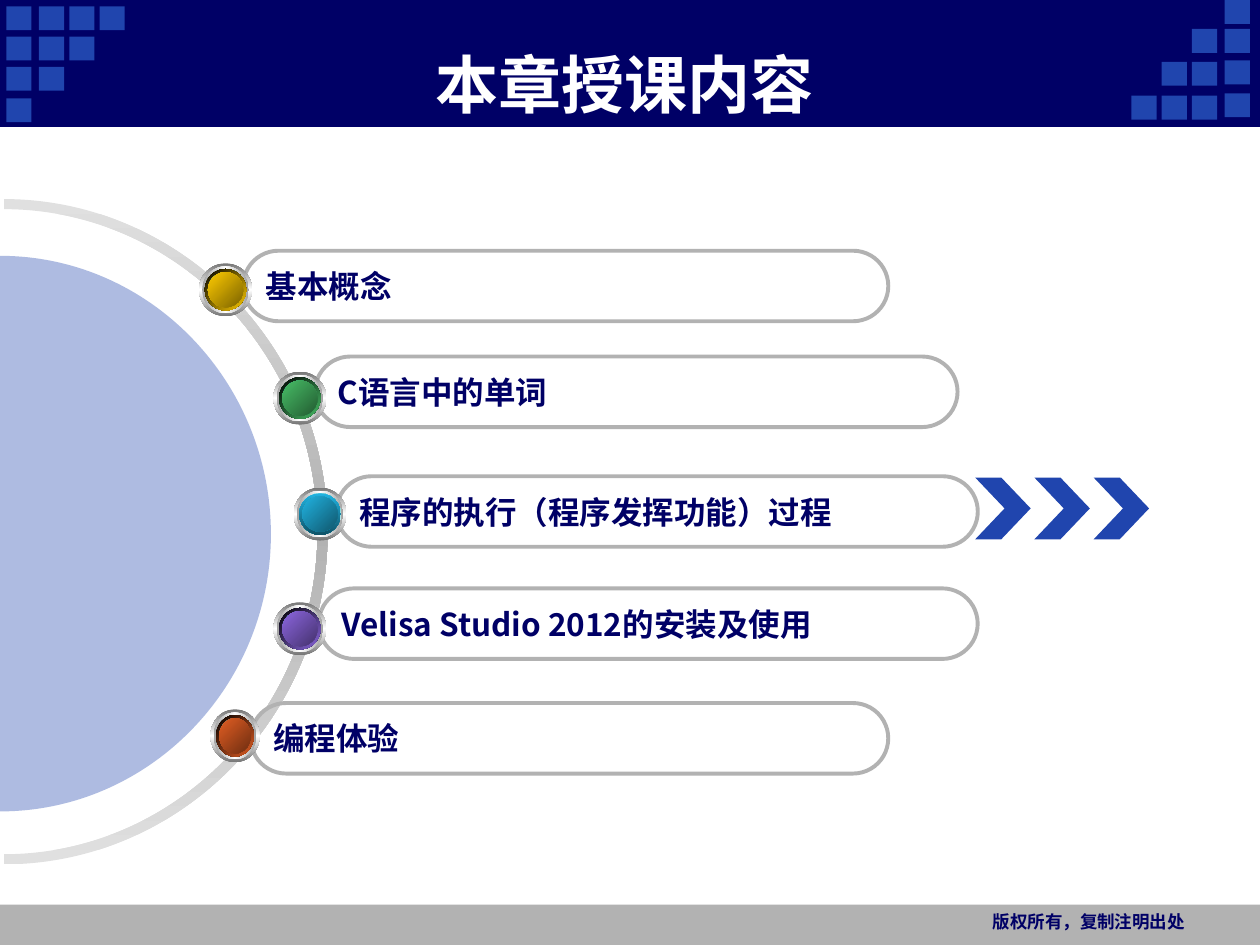
import pptx
import pptx.util
import pptx.dml.color
import pptx.enum.shapes
import pptx.enum.text
import pptx.oxml
import pptx.oxml.ns

HUES = {"navy": "000066", "blue": "2045AE", "gray": "B2B2B2", "pale": "E0E0E0",
        "white": "FFFFFF", "teal": "3DC5C5", "deep": "2F9797",
        "steel": "767676", "mist": "A2A2A2"}
LATIN, CJK = "Arial", "Noto Sans CJK SC"

# Content; all places are in inches
TITLE = "本章授课内容"
NOTE = "版权所有，复制注明出处"
# text, font, pill (left, top, width), button (left, top, width), rim, face
ITEMS = [
    ("编程体验", LATIN, (1.99, 5.58, 5.06), (1.67, 5.63, 0.39),
     ("000000", "E35E23", 45), ("E35E23", "6E2E11")),
    ("Velisa Studio 2012的安装及使用", CJK, (2.53, 4.67, 5.23), (2.17, 4.78, 0.42),
     ("000000", "8D67E1", 45), ("8D67E1", "45326D")),
    ("程序的执行（程序发挥功能）过程", CJK, (2.67, 3.78, 5.09), (2.33, 3.87, 0.42),
     ("21B3E1", "0F5368", 90), ("21B3E1", "10576D")),
    ("C语言中的单词", CJK, (2.5, 2.83, 5.1), (2.17, 2.95, 0.42),
     ("000000", "48BE67", 45), ("48BE67", "235C32")),
    ("基本概念", CJK, (1.93, 1.99, 5.12), (1.58, 2.09, 0.42),
     ("000000", "FFCC00", 45), ("FFCC00", "7C6300")),
]
# Corner squares: column left, then the top of each square
ROWS = (0.05, 0.29, 0.53, 0.78)
CORNERS = [
    [(0.05, ROWS), (0.31, ROWS[:3]), (0.55, ROWS[:2]), (0.79, ROWS[:1])],
    [(9.72, (0.74, 0.48, 0.23, 0)), (9.46, (0.76, 0.49, 0.23)),
     (9.22, (0.76, 0.49)), (8.98, (0.76,))],
]
# Half circles: box before its quarter turn, then the corner points
RING = ((-2.65, 1.61, 5.28, 5.22),
        [(0.03, 1.66), (2.52, 4.22), (0.03, 6.78), (0.03, 6.86), (2.6, 4.22), (0.03, 1.58)])
DISC = ((-2.21, 2.09, 4.41, 4.3), [(0, 2.03), (2.15, 4.24), (0, 6.44)])

KIND = pptx.enum.shapes.MSO_SHAPE
ALIGN = pptx.enum.text.PP_ALIGN
ANCHOR = pptx.enum.text.MSO_ANCHOR
NS = pptx.oxml.ns.nsdecls("a")
name = pptx.oxml.ns.qn

deck = pptx.Presentation()
deck.slide_width = pptx.util.Cm(25.4)
deck.slide_height = pptx.util.Cm(19.05)
slide = deck.slides.add_slide(deck.slide_layouts[6])


def inch(num):
    return pptx.util.Cm(num * 2.54)


def rgb(code):
    return pptx.dml.color.RGBColor.from_string(code)


def plain(part, fill=None, line=None, width=0.75):
    part.shadow.inherit = False
    if fill:
        part.fill.solid()
        part.fill.fore_color.rgb = rgb(fill)
    else:
        part.fill.background()
    if line:
        part.line.color.rgb = rgb(line)
        part.line.width = pptx.util.Pt(width)
    else:
        part.line.fill.background()
    return part


def shape(home, kind, box, *look):
    return plain(home.shapes.add_shape(kind, *map(inch, box)), *look)


def blend(part, codes, angle):
    """Spread the colours evenly along a line; angle is clockwise."""
    stops = "".join(
        f'<a:gs pos="{100000 * i // (len(codes) - 1)}"><a:srgbClr val="{code}"/></a:gs>'
        for i, code in enumerate(codes))
    grad = pptx.oxml.parse_xml(
        f'<a:gradFill {NS} rotWithShape="1"><a:gsLst>{stops}</a:gsLst>'
        f'<a:lin ang="{angle * 60000}" scaled="0"/></a:gradFill>')
    props = part._element.spPr
    props.replace(props.find(name("a:noFill")), grad)


def write(part, text, size, color, font, align, anchor):
    frame = part.text_frame
    frame.word_wrap = True
    frame.vertical_anchor = anchor
    para = frame.paragraphs[0]
    para.alignment = align
    run = para.add_run()
    run.text = text
    run.font.size = pptx.util.Pt(size)
    run.font.bold = True
    run.font.name = font
    run.font.color.rgb = rgb(color)
    run.font._element.find(name("a:latin")).addnext(
        pptx.oxml.parse_xml(f'<a:ea {NS} typeface="{CJK}"/>'))


def label(box, *style):
    write(slide.shapes.add_textbox(*map(inch, box)), *style)


def curve(box, dots, *look):
    """Join the points by quarter ellipses, or by a line where x stays."""
    left, top, width, height = box
    midx, midy = left + width / 2, top + height / 2

    def spot(x, y):
        # Undo the quarter turn, in thousandths of an inch
        u, v = y - midy + width / 2, midx - x + height / 2
        return f'<a:pt x="{round(u * 1000)}" y="{round(v * 1000)}"/>'

    steps = f"<a:moveTo>{spot(*dots[0])}</a:moveTo>"
    edge = min(x for x, y in dots)
    for (x, y), (p, q) in zip(dots, dots[1:]):
        if x == p:
            steps += f"<a:lnTo>{spot(p, q)}</a:lnTo>"
            continue
        a, b = 0.55 * (p - x), 0.55 * (q - y)
        grips = [(x + a, y), (p, q - b)] if x == edge else [(x, y + b), (p - a, q)]
        steps += f"<a:cubicBezTo>{''.join(spot(*g) for g in grips + [(p, q)])}</a:cubicBezTo>"
    pen = slide.shapes.build_freeform(0, 0)
    pen.add_line_segments([(inch(width), 0), (inch(width), inch(height))])
    part = plain(pen.convert_to_shape(inch(left), inch(top)), *look)
    track = part._element.spPr.find(".//" + name("a:path"))
    track.getparent().replace(track, pptx.oxml.parse_xml(
        f'<a:path {NS} w="{round(width * 1000)}" h="{round(height * 1000)}">'
        f"{steps}<a:close/></a:path>"))
    part.rotation = 90
    return part


# Footer, header and corner squares
shape(slide, KIND.RECTANGLE, (0, 7.18, 10, 0.33), HUES["gray"])
shape(slide, KIND.RECTANGLE, (0, 0, 10, 1), HUES["navy"], HUES["navy"])
for cols in CORNERS:
    group = slide.shapes.add_group_shape()
    for left, tops in cols:
        for top in tops:
            shape(group, KIND.RECTANGLE, (left, top, 0.2, 0.19), HUES["blue"])
label((7.6, 7.18, 1.9, 0.32), NOTE, 10, HUES["navy"], LATIN, ALIGN.RIGHT, ANCHOR.TOP)
label((0.92, 0.35, 8.08, 0.62), TITLE, 36, HUES["white"], LATIN, ALIGN.CENTER, ANCHOR.MIDDLE)

# Half ring and half disc
blend(curve(*RING), (HUES["pale"], HUES["gray"], HUES["pale"]), 0)
disc = curve(*DISC, HUES["blue"])
disc._element.spPr.find(".//" + name("a:srgbClr")).append(
    pptx.oxml.parse_xml(f'<a:alpha {NS} val="36000"/>'))

# Pills
for text, font, (left, top, width), *rest in ITEMS:
    pill = shape(slide, KIND.ROUNDED_RECTANGLE, (left, top, width, 0.56),
                 None, HUES["gray"], 2.25)
    pill.adjustments[0] = 0.5
    write(pill, text, 18, HUES["navy"], font, ALIGN.LEFT, ANCHOR.MIDDLE)

# Buttons: discs on one centre, each smaller than the outer one by a cut
for *rest, (left, top, width), (dark, glow, angle), face in reversed(ITEMS):
    layers = [
        (0, (HUES["steel"], HUES["white"], HUES["steel"]), 90),
        (0.05, (HUES["mist"], HUES["white"], HUES["mist"]), 0),
        (0.09, (HUES["white"], HUES["teal"], HUES["white"]), 45),
        (0.09, (dark, glow), angle),
        (0.14, (HUES["deep"], HUES["teal"], HUES["deep"]), 315),
        (0.14, face, 45),
    ]
    group = slide.shapes.add_group_shape()
    for cut, codes, turn in layers:
        box = (left + cut / 2, top + cut / 2, width - cut, 0.42 - cut)
        blend(shape(group, KIND.OVAL, box), codes, turn)

# Chevrons
for i in range(3):
    mark = shape(slide, KIND.CHEVRON, (7.74 + 0.47 * i, 3.79, 0.44, 0.49), HUES["blue"])
    mark.adjustments[0] = 0.53

deck.save("out.pptx")
